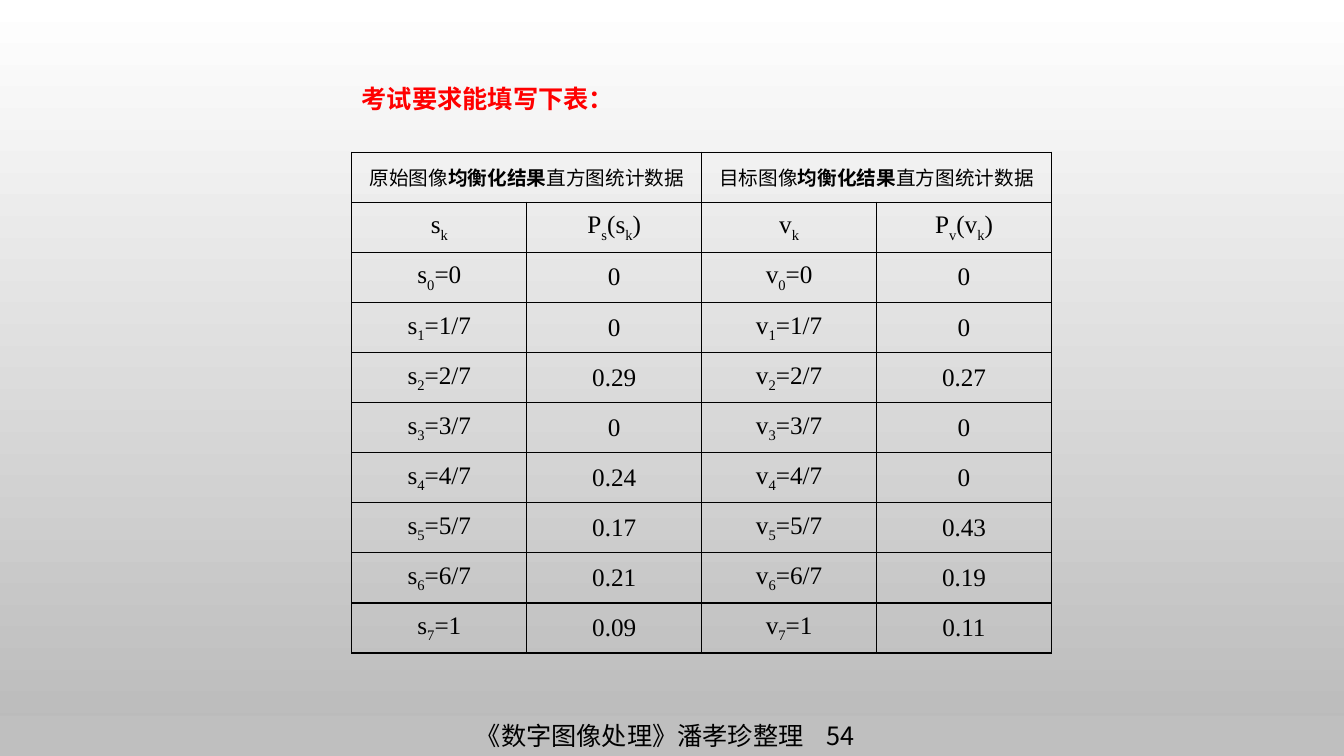
from pptx import Presentation
from pptx.dml.color import RGBColor
from pptx.enum.shapes import MSO_SHAPE
from pptx.enum.text import MSO_ANCHOR, MSO_AUTO_SIZE, PP_ALIGN
from pptx.oxml import parse_xml
from pptx.oxml.ns import nsdecls
from pptx.util import Inches, Pt

HAN = "Noto Sans CJK SC"
ROMAN = "Times New Roman"
TITLE = "考试要求能填写下表："
FOOTER = "《数字图像处理》潘孝珍整理\t54"
HEADS = ["原始图像|均衡化结果|直方图统计数据", "目标图像|均衡化结果|直方图统计数据"]
LABELS = ["s|k", "P|s|(s|k|)", "v|k", "P|v|(v|k|)"]
LEVELS = ["0", "1/7", "2/7", "3/7", "4/7", "5/7", "6/7", "1"]
SOURCE = ["0", "0", "0.29", "0", "0.24", "0.17", "0.21", "0.09"]
TARGET = ["0", "0", "0.27", "0", "0", "0.43", "0.19", "0.11"]


def color(code):
    return RGBColor.from_string(code)


def style(run, size, face, code="000000", bold=False):
    font = run.font
    font.size, font.name, font.bold = Pt(size), face, bold
    font.color.rgb = color(code)
    props = run._r.get_or_add_rPr()
    props.append(parse_xml(f'<a:ea {nsdecls("a")} typeface="{face}"/>'))


def border(cell):
    props = cell._tc.get_or_add_tcPr()
    for side in ("lnL", "lnR", "lnT", "lnB"):
        props.append(parse_xml(
            f'<a:{side} {nsdecls("a")} w="{Pt(1)}"><a:solidFill>'
            f'<a:srgbClr val="000000"/></a:solidFill></a:{side}>'))
    cell.fill.background()


def write(cell, text, head):
    line = cell.text_frame.paragraphs[0]
    line.alignment = PP_ALIGN.CENTER
    for i, part in enumerate(text.split("|")):
        run = line.add_run()
        run.text = part
        odd = i % 2 == 1
        if head:
            style(run, 14, HAN, bold=odd)
        else:
            style(run, 18, ROMAN)
            if odd:
                run._r.get_or_add_rPr().set("baseline", "-25000")


deck = Presentation()
deck.slide_width, deck.slide_height = Inches(13.33), Inches(7.5)
slide = deck.slides.add_slide(deck.slide_layouts[6])
back = slide.background.fill
back.gradient()
back.gradient_angle = 270
for stop, code, place in zip(back.gradient_stops, ("FFFFFF", "B9B9B9"), (0, 1)):
    stop.color.rgb, stop.position = color(code), place

bar = slide.shapes.add_shape(MSO_SHAPE.RECTANGLE, 0, Inches(7.1), Inches(13.33), Inches(0.4))
bar.shadow.inherit = False
bar.fill.solid()
bar.fill.fore_color.rgb = color("BFBFBF")
bar.line.fill.background()
frame = bar.text_frame
frame.margin_left, frame.margin_right = Inches(4.72), 0
frame.vertical_anchor = MSO_ANCHOR.MIDDLE
line = frame.paragraphs[0]
line.text = FOOTER
line.alignment = PP_ALIGN.LEFT
line._p.get_or_add_pPr().append(parse_xml(
    f'<a:tabLst {nsdecls("a")}><a:tab pos="{Inches(3.48)}" algn="l"/></a:tabLst>'))
for run in line.runs:
    style(run, 18, HAN)

rows = [[HEADS[0], "", HEADS[1], ""], LABELS]
for k, (level, first, last) in enumerate(zip(LEVELS, SOURCE, TARGET)):
    rows.append([f"s|{k}|={level}", first, f"v|{k}|={level}", last])
table = slide.shapes.add_table(
    len(rows), 4, Inches(3.49), Inches(1.51), Inches(6.94), Inches(4.97)).table
table.first_row = table.horz_banding = False
for c in (0, 2):
    table.cell(0, c).merge(table.cell(0, c + 1))
for r, row in enumerate(rows):
    for c, text in enumerate(row):
        cell = table.cell(r, c)
        cell.margin_left = cell.margin_right = Inches(0.07)
        cell.margin_top = cell.margin_bottom = 0
        cell.vertical_anchor = MSO_ANCHOR.MIDDLE
        border(cell)
        if text:
            write(cell, text, r == 0)

box = slide.shapes.add_textbox(Inches(3.49), Inches(0.78), Inches(2.74), Inches(0.4))
box.text_frame.word_wrap = False
box.text_frame.auto_size = MSO_AUTO_SIZE.SHAPE_TO_FIT_TEXT
box.text_frame.text = TITLE
style(box.text_frame.paragraphs[0].runs[0], 18, HAN, "FF0000", True)

deck.save("out.pptx")
